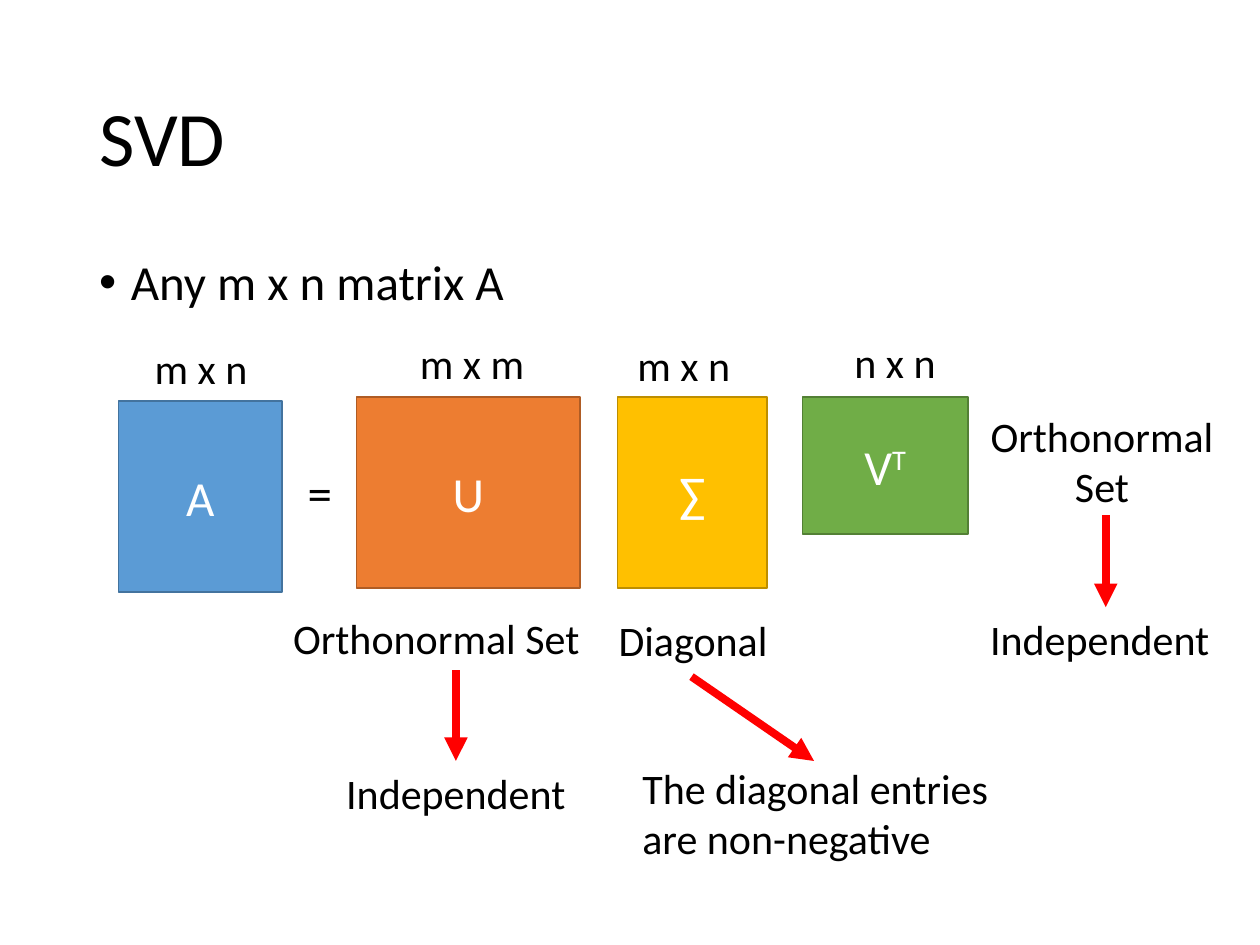
import pptx
import pptx.dml.color
import pptx.enum.shapes
import pptx.enum.text
import pptx.oxml
import pptx.oxml.ns
import pptx.util
from pptx.util import Cm

FONT = "Calibri"
BLACK, WHITE, RED = "000000", "FFFFFF", "FF0000"
ALIGN = pptx.enum.text.PP_ALIGN
ANCHOR = pptx.enum.text.MSO_ANCHOR
TOP_SIDE = 0


def color(hex_string):
    return pptx.dml.color.RGBColor.from_string(hex_string)


def add_xml(parent, tag, **attributes):
    element = pptx.oxml.parse_xml(f"<{tag} {pptx.oxml.ns.nsdecls('a')}/>")
    for name, value in attributes.items():
        element.set(name, value)
    parent.append(element)


def format_runs(paragraph, size, font_color):
    for run in paragraph.runs:
        run.font.name = FONT
        run.font.size = pptx.util.Pt(size)
        run.font.color.rgb = color(font_color)


def add_text(slide, text, left, top, width, height, size=24, align=ALIGN.CENTER, grow=True):
    box = slide.shapes.add_textbox(Cm(left), Cm(top), Cm(width), Cm(height))
    frame = box.text_frame
    frame.text = text
    frame.word_wrap = True
    if grow:
        frame.auto_size = pptx.enum.text.MSO_AUTO_SIZE.SHAPE_TO_FIT_TEXT
    paragraph = frame.paragraphs[0]
    paragraph.alignment = align
    format_runs(paragraph, size, BLACK)
    return box


def add_title(slide, text):
    box = add_text(slide, text, 1.75, 1.02, 21.9, 3.68, 44, ALIGN.LEFT, grow=False)
    box.text_frame.vertical_anchor = ANCHOR.MIDDLE
    box.text_frame.paragraphs[0].line_spacing = 0.9


def add_bullet(slide, text):
    box = add_text(slide, text, 1.75, 5.08, 21.9, 12.09, 28, ALIGN.LEFT, grow=False)
    paragraph = box.text_frame.paragraphs[0]
    paragraph.line_spacing = 0.9
    paragraph.space_before = pptx.util.Pt(10)
    properties = paragraph._p.get_or_add_pPr()
    properties.set("marL", str(Cm(0.64)))
    properties.set("indent", str(-Cm(0.64)))
    add_xml(properties, "a:buFont", typeface="Arial")
    add_xml(properties, "a:buChar", char="•")


def add_matrix(slide, name, left, top, width, height, fill, outline, exponent=""):
    shape = slide.shapes.add_shape(
        pptx.enum.shapes.MSO_SHAPE.RECTANGLE, Cm(left), Cm(top), Cm(width), Cm(height))
    shape.shadow.inherit = False
    shape.fill.solid()
    shape.fill.fore_color.rgb = color(fill)
    shape.line.color.rgb = color(outline)
    shape.line.width = pptx.util.Pt(1)
    shape.text_frame.text = name
    shape.text_frame.vertical_anchor = ANCHOR.MIDDLE
    paragraph = shape.text_frame.paragraphs[0]
    paragraph.alignment = ALIGN.CENTER
    if exponent:
        run = paragraph.add_run()
        run.text = exponent
        run._r.get_or_add_rPr().set("baseline", "30000")
    format_runs(paragraph, 28, WHITE)


def add_arrow(slide, start, end, target=None):
    arrow = slide.shapes.add_connector(
        pptx.enum.shapes.MSO_CONNECTOR.STRAIGHT, *map(Cm, start + end))
    if target is not None:
        arrow.end_connect(target, TOP_SIDE)
    arrow.line.color.rgb = color(RED)
    arrow.line.width = pptx.util.Pt(4.5)
    add_xml(arrow.line._get_or_add_ln(), "a:tailEnd", type="triangle")
    add_xml(arrow._element.spPr, "a:effectLst")


def main():
    presentation = pptx.Presentation()
    presentation.slide_width, presentation.slide_height = Cm(25.4), Cm(19.05)
    slide = presentation.slides.add_slide(presentation.slide_layouts[6])

    add_title(slide, "SVD")
    add_bullet(slide, "Any m x n matrix A")

    # Factorization: A = U ∑ V^T
    add_matrix(slide, "A", 2.39, 8.08, 3.3, 3.86, "5B9BD5", "43739E")
    add_matrix(slide, "U", 7.19, 8, 4.5, 3.86, "ED7D31", "AF5C24")
    add_matrix(slide, "∑", 12.45, 8, 3.02, 3.86, "FFC000", "BD8E00")
    add_matrix(slide, "V", 16.18, 8, 3.33, 2.77, "70AD47", "538035", exponent="T")
    add_text(slide, "=", 5.44, 9.19, 2.01, 1.45, size=28)

    # Dimensions above the matrices
    for text, left, top in (("m x n", 2.67, 6.78), ("m x m", 8.13, 6.68),
                            ("m x n", 12.4, 6.71), ("n x n", 16.66, 6.65)):
        add_text(slide, text, left, top, 2.77, 1.27)

    # Properties of U, ∑ and V
    add_text(slide, "Orthonormal Set", 5.44, 12.22, 6.71, 1.27)
    independent_u = add_text(slide, "Independent", 6.22, 15.34, 5.94, 1.27)
    add_text(slide, "Diagonal", 12.22, 12.27, 3.61, 1.27, align=ALIGN.LEFT)
    add_text(slide, "The diagonal entries are non-negative",
             12.7, 15.24, 8.38, 2.31, align=ALIGN.LEFT)
    add_text(slide, "Orthonormal Set", 19.56, 8.15, 5.31, 2.31)
    independent_v = add_text(slide, "Independent", 19.71, 12.24, 5.16, 1.27, align=ALIGN.LEFT)

    # Implications
    add_arrow(slide, (9.19, 13.51), (9.19, 15.34), independent_u)
    add_arrow(slide, (22.29, 10.39), (22.29, 12.24), independent_v)
    add_arrow(slide, (13.94, 13.64), (16.41, 15.34))

    presentation.save("out.pptx")


if __name__ == "__main__":
    main()
